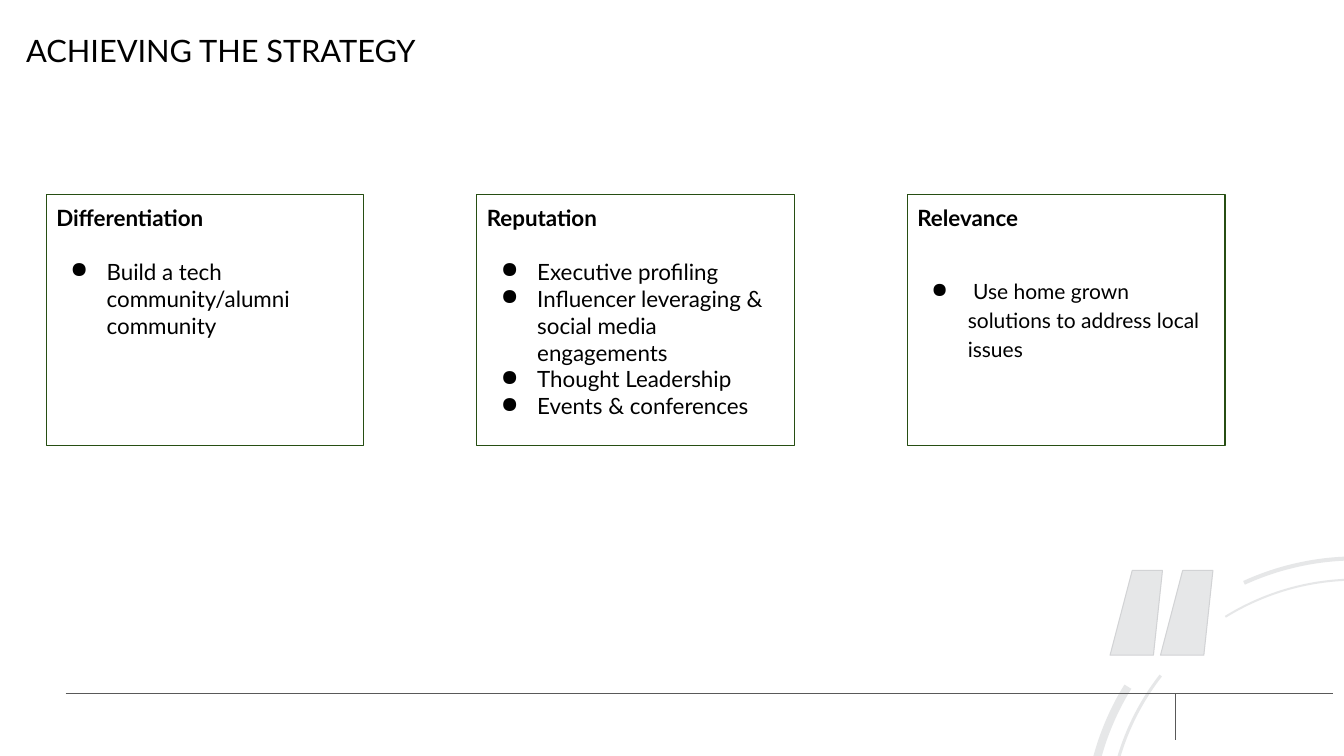
import math
from dataclasses import dataclass

from lxml import etree
from pptx import Presentation
from pptx import util as u
from pptx.dml.color import RGBColor
from pptx.enum import shapes, text
from pptx.oxml import ns


@dataclass(frozen=True)
class Theme:
    font: str = "Lato"
    ink: str = "000000"
    box_line: str = "274E13"
    rule: str = "595959"
    ornament: str = "E6E7E8"
    ornament_line: str = "D2D3D5"
    title_size: float = 22
    body_size: float = 16
    small_size: float = 15
    line_width: float = 0.75


THEME = Theme()

# Heading, bullets, and the format of the bullets
PILLARS = [
    ("Differentiation", ["Build a tech community/alumni community"], {}),
    ("Reputation", ["Executive profiling",
                    "Influencer leveraging & social media engagements",
                    "Thought Leadership",
                    "Events & conferences"], {}),
    ("Relevance", [" Use home grown solutions to address local issues"],
     {"size": THEME.small_size, "line_spacing": 1.15}),
]
BULLET_GAPS = [19, 19, 31]

# Rings share one centre: outer radius, inner radius, start and end in degrees
RING_CENTRE = (13.45, 8.21)
RING_BANDS = [
    (2.70, 2.62, 148.3, 165.6),
    (2.47, 2.44, 142.1, 164.2),
    (2.47, 2.45, 121.8, 91.9),
    (2.69, 2.65, 114.6, 91.7),
]
ARC_STEPS = 30


def color(value):
    return RGBColor.from_string(value)


def style_line(line, line_color):
    line.color.rgb = color(line_color)
    line.width = u.Pt(THEME.line_width)


def set_bullet(paragraph):
    properties = paragraph._p.get_or_add_pPr()
    properties.set("marL", str(u.Inches(0.5)))
    properties.set("indent", str(u.Inches(-0.36)))
    bullet_color = etree.SubElement(properties, ns.qn("a:buClr"))
    etree.SubElement(bullet_color, ns.qn("a:srgbClr")).set("val", THEME.ink)
    etree.SubElement(properties, ns.qn("a:buChar")).set("char", "●")


def write_text(paragraph, words, size=THEME.body_size, bold=False,
               bullet=False, line_spacing=None, space_before=0):
    if bullet:
        set_bullet(paragraph)
    paragraph.alignment = text.PP_ALIGN.LEFT
    paragraph.space_before = u.Pt(space_before)
    if line_spacing:
        paragraph.line_spacing = line_spacing
    run = paragraph.add_run()
    run.text = words
    run.font.name = THEME.font
    run.font.size = u.Pt(size)
    run.font.bold = bold
    run.font.color.rgb = color(THEME.ink)


def prepare_frame(frame):
    frame.word_wrap = True
    frame.vertical_anchor = text.MSO_ANCHOR.TOP
    frame.margin_left = frame.margin_right = u.Inches(0.1)
    frame.margin_top = frame.margin_bottom = u.Inches(0.1)


def add_title(slide, words):
    title = slide.shapes.title
    title.left, title.top = u.Inches(0.16), u.Inches(0.26)
    title.width, title.height = u.Inches(8.12), u.Inches(0.54)
    prepare_frame(title.text_frame)
    title.text_frame.auto_size = text.MSO_AUTO_SIZE.SHAPE_TO_FIT_TEXT
    write_text(title.text_frame.paragraphs[0], words,
               size=THEME.title_size, line_spacing=0.9)


def add_pillar(slide, left, heading, bullets, bullet_gap, bullet_format):
    shape = slide.shapes.add_shape(
        shapes.MSO_SHAPE.RECTANGLE, u.Inches(left), u.Inches(1.93),
        u.Inches(3.15), u.Inches(2.49))
    shape.shadow.inherit = False
    shape.fill.background()
    style_line(shape.line, THEME.box_line)
    frame = shape.text_frame
    prepare_frame(frame)
    write_text(frame.paragraphs[0], heading, bold=True)
    for index, words in enumerate(bullets):
        write_text(frame.add_paragraph(), words, bullet=True,
                   space_before=0 if index else bullet_gap, **bullet_format)


def add_rule(slide, start, end):
    connector = slide.shapes.add_connector(
        shapes.MSO_CONNECTOR.STRAIGHT,
        *(u.Inches(value) for value in (*start, *end)))
    style_line(connector.line, THEME.rule)
    etree.SubElement(connector._element.spPr, ns.qn("a:effectLst"))


def add_outlines(slide, outlines, line_color=None):
    """Draw closed outlines, given as points in inches, as one shape."""
    outlines = [[(u.Inches(x), u.Inches(y)) for x, y in outline]
                for outline in outlines]
    builder = slide.shapes.build_freeform(*outlines[0][0], scale=1.0)
    for index, outline in enumerate(outlines):
        if index:
            builder.move_to(*outline[0])
        builder.add_line_segments(outline[1:], close=True)
    shape = builder.convert_to_shape()
    shape.shadow.inherit = False
    shape.fill.solid()
    shape.fill.fore_color.rgb = color(THEME.ornament)
    if line_color:
        style_line(shape.line, line_color)
    else:
        shape.line.fill.background()


def arc_points(radius, start, end):
    angles = [math.radians(start + (end - start) * step / ARC_STEPS)
              for step in range(ARC_STEPS + 1)]
    return [(RING_CENTRE[0] + radius * math.cos(angle),
             RING_CENTRE[1] - radius * math.sin(angle)) for angle in angles]


def band_outline(outer, inner, start, end):
    return arc_points(outer, start, end) + arc_points(inner, end, start)


def quote_stroke(left):
    return [(left + 0.22, 5.66), (left + 0.52, 5.66),
            (left + 0.43, 6.5), (left, 6.5)]


def main():
    presentation = Presentation()
    presentation.slide_width = u.Inches(13.33)
    presentation.slide_height = u.Inches(7.5)
    slide = presentation.slides.add_slide(presentation.slide_layouts[5])

    # Corner ornament
    add_outlines(slide, [band_outline(*band) for band in RING_BANDS])
    add_outlines(slide, [quote_stroke(left) for left in (11.01, 11.51)],
                 line_color=THEME.ornament_line)

    # Footer rules
    add_rule(slide, (11.66, 6.89), (11.66, 7.34))
    add_rule(slide, (0.65, 6.88), (13.22, 6.88))

    # Three pillars at an equal pitch
    for index, (heading, bullets, bullet_format) in enumerate(PILLARS):
        add_pillar(slide, 0.46 + 4.27 * index, heading, bullets,
                   BULLET_GAPS[index], bullet_format)

    add_title(slide, "ACHIEVING THE STRATEGY")
    presentation.save("out.pptx")


if __name__ == "__main__":
    main()
